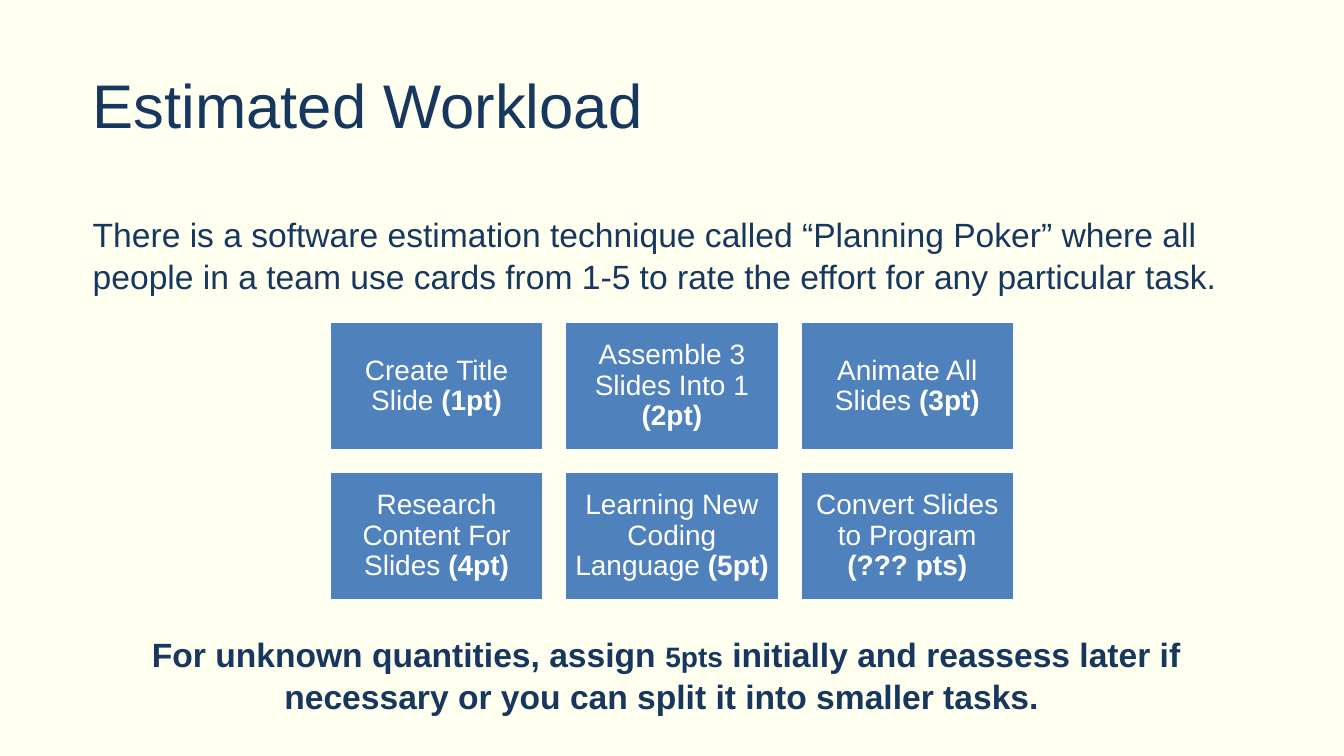
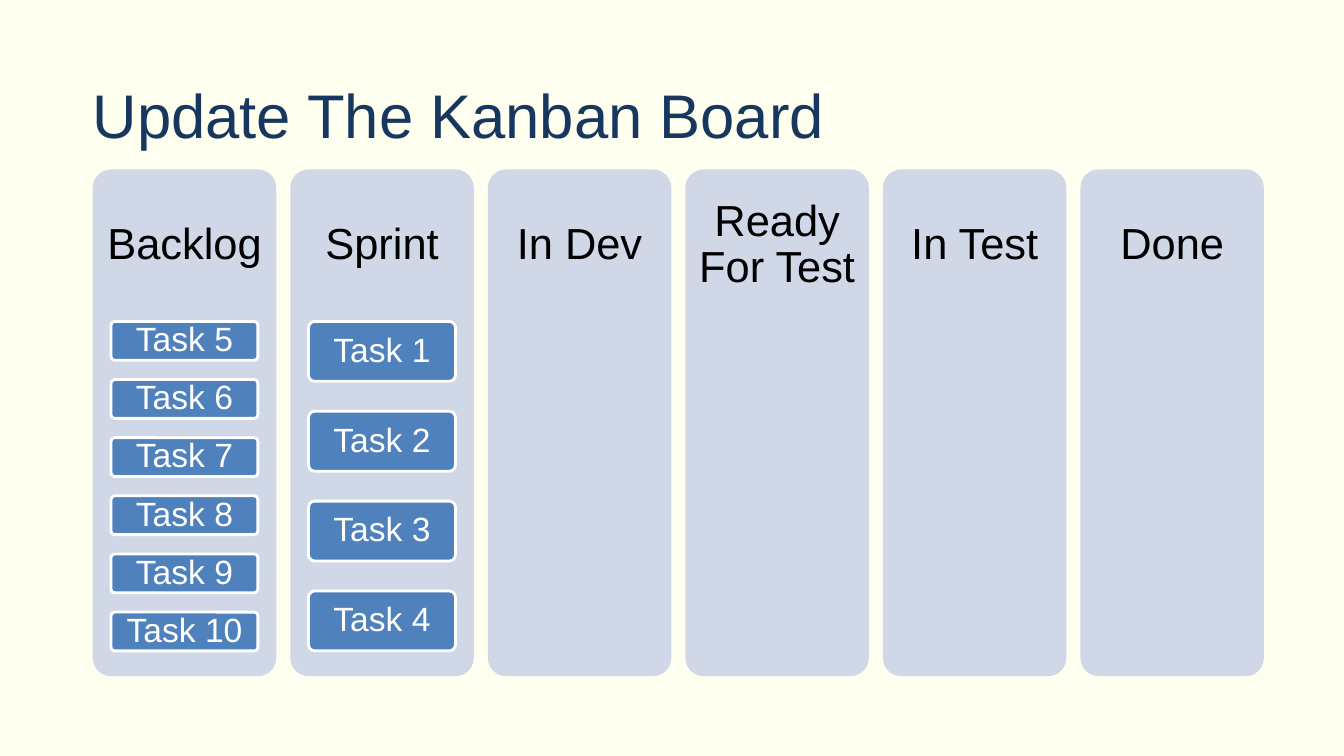
import pptx
import pptx.dml.color
import pptx.enum.shapes
import pptx.enum.text
import pptx.util

Pt = pptx.util.Pt
RGBColor = pptx.dml.color.RGBColor
Shape = pptx.enum.shapes.MSO_SHAPE
Align = pptx.enum.text.PP_ALIGN
Anchor = pptx.enum.text.MSO_ANCHOR

# Shared style
FONT = "Arial"
CREAM = RGBColor(0xFF, 0xFF, 0xEF)
NAVY = RGBColor(0x17, 0x37, 0x5E)
BLUE = RGBColor(0x4F, 0x81, 0xBD)
PALE_BLUE = RGBColor(0xD0, 0xD8, 0xE8)
WHITE = RGBColor(0xFF, 0xFF, 0xFF)
BLACK = RGBColor(0x00, 0x00, 0x00)
SLIDE_WIDTH, SLIDE_HEIGHT = 960, 540
MARGIN = 66.24

# Runs are (text, bold, size); a size of None means the paragraph's size
ESTIMATES = [
    [("Create Title Slide ", False, None), ("(1pt)", True, None)],
    [("Assemble 3 Slides Into 1 ", False, None), ("(2pt)", True, None)],
    [("Animate All Slides ", False, None), ("(3pt)", True, None)],
    [("Research Content For Slides ", False, None), ("(4pt)", True, None)],
    [("Learning New Coding Language ", False, None), ("(5pt)", True, None)],
    [("Convert Slides to Program", False, None), (" (??? pts)", True, None)],
]
INTRODUCTION = [(
    "There is a software estimation technique called “Planning Poker” where all "
    "people in a team use cards from 1-5 to rate the effort for any particular task.",
    False, None)]
ADVICE = [
    ("For unknown quantities, assign ", True, None),
    ("5pts", True, 20),
    (" initially and reassess later if necessary or you can split it into "
     "smaller tasks. ", True, None),
]
BOARD = [
    ("Backlog", [f"Task {number}" for number in range(5, 11)]),
    ("Sprint", [f"Task {number}" for number in range(1, 5)]),
    ("In Dev", []),
    ("Ready For Test", []),
    ("In Test", []),
    ("Done", []),
]


def write_text(shape, runs, size, color, align=Align.CENTER, anchor=Anchor.MIDDLE,
               insets=(0, 0), line_spacing=0.9):
    """Fill a shape with one paragraph; insets are (horizontal, vertical)."""
    frame = shape.text_frame
    frame.word_wrap = True
    frame.vertical_anchor = anchor
    frame.margin_left = frame.margin_right = Pt(insets[0])
    frame.margin_top = frame.margin_bottom = Pt(insets[1])
    paragraph = frame.paragraphs[0]
    paragraph.alignment = align
    paragraph.line_spacing = line_spacing
    for text, bold, run_size in runs:
        run = paragraph.add_run()
        run.text = text
        run.font.name = FONT
        run.font.size = Pt(run_size or size)
        run.font.bold = bold
        run.font.color.rgb = color
    return paragraph


def add_text_box(slide, box, runs, size, color, **options):
    shape = slide.shapes.add_textbox(*map(Pt, box))
    return write_text(shape, runs, size, color, **options)


def add_panel(slide, kind, box, fill, outline=None):
    shape = slide.shapes.add_shape(kind, *map(Pt, box))
    shape.shadow.inherit = False
    shape.fill.solid()
    shape.fill.fore_color.rgb = fill
    if outline is None:
        shape.line.fill.background()
    else:
        shape.line.color.rgb = outline
        shape.line.width = Pt(2)
    if kind == Shape.ROUNDED_RECTANGLE:
        shape.adjustments[0] = 0.1
    return shape


def add_titled_slide(presentation, title, top, height):
    slide = presentation.slides.add_slide(presentation.slide_layouts[6])
    slide.background.fill.solid()
    slide.background.fill.fore_color.rgb = CREAM
    add_text_box(slide, (MARGIN, top, 828, height), [(title, False, None)], 44, NAVY,
                 align=Align.LEFT, line_spacing=1)
    return slide


def add_body_text(slide, box, runs, align):
    paragraph = add_text_box(slide, box, runs, 24, NAVY, align=align,
                             anchor=Anchor.TOP, line_spacing=1.05)
    paragraph.space_before = Pt(10)
    paragraph.space_after = Pt(6)


def add_estimate_grid(slide, box, columns=3, gap=15):
    left, top, width, height = box
    rows = len(ESTIMATES) // columns
    cell_width = (width - gap * (columns - 1)) / columns
    cell_height = (height - gap * (rows - 1)) / rows
    for index, runs in enumerate(ESTIMATES):
        row, column = divmod(index, columns)
        cell = (left + column * (cell_width + gap), top + row * (cell_height + gap),
                cell_width, cell_height)
        tile = add_panel(slide, Shape.RECTANGLE, cell, BLUE, WHITE)
        write_text(tile, runs, 20, WHITE, insets=(5.5, 5.5))


def add_board_column(slide, box, heading, tasks):
    left, top, width, height = box
    add_panel(slide, Shape.ROUNDED_RECTANGLE, box, PALE_BLUE)
    heading_height = 0.3 * height
    add_text_box(slide, (left, top, width, heading_height), [(heading, False, None)],
                 31, BLACK, insets=(9, 9))
    if not tasks:
        return
    # Cards share the space evenly, with gaps of half a card
    card_height = 0.65 * height / (1.5 * len(tasks) - 0.5)
    for index, task in enumerate(tasks):
        card = add_panel(slide, Shape.ROUNDED_RECTANGLE,
                         (left + 0.1 * width,
                          top + heading_height + 1.5 * index * card_height,
                          0.8 * width, card_height), BLUE, WHITE)
        write_text(card, [(task, False, None)], 24, WHITE, insets=(5, 0))


def add_board(slide, box, gap=10):
    left, top, width, height = box
    column_width = (width - gap * (len(BOARD) - 1)) / len(BOARD)
    for index, (heading, tasks) in enumerate(BOARD):
        column = (left + index * (column_width + gap), top, column_width, height)
        add_board_column(slide, column, heading, tasks)


def build_workload_slide(presentation):
    slide = add_titled_slide(presentation, "Estimated Workload", 41, 67)
    add_body_text(slide, (MARGIN, 151.2, 836.6, 67), INTRODUCTION, Align.LEFT)
    add_estimate_grid(slide, (235.3, 229.7, 489.4, 199.2))
    add_body_text(slide, (57.6, 451.4, 836.6, 55.4), ADVICE, Align.CENTER)


def build_kanban_slide(presentation):
    slide = add_titled_slide(presentation, "Update The Kanban Board", 28.8, 104.4)
    add_board(slide, (MARGIN, 121, 836.6, 362))


def main():
    presentation = pptx.Presentation()
    presentation.slide_width = Pt(SLIDE_WIDTH)
    presentation.slide_height = Pt(SLIDE_HEIGHT)
    build_workload_slide(presentation)
    build_kanban_slide(presentation)
    presentation.save("out.pptx")


if __name__ == "__main__":
    main()
